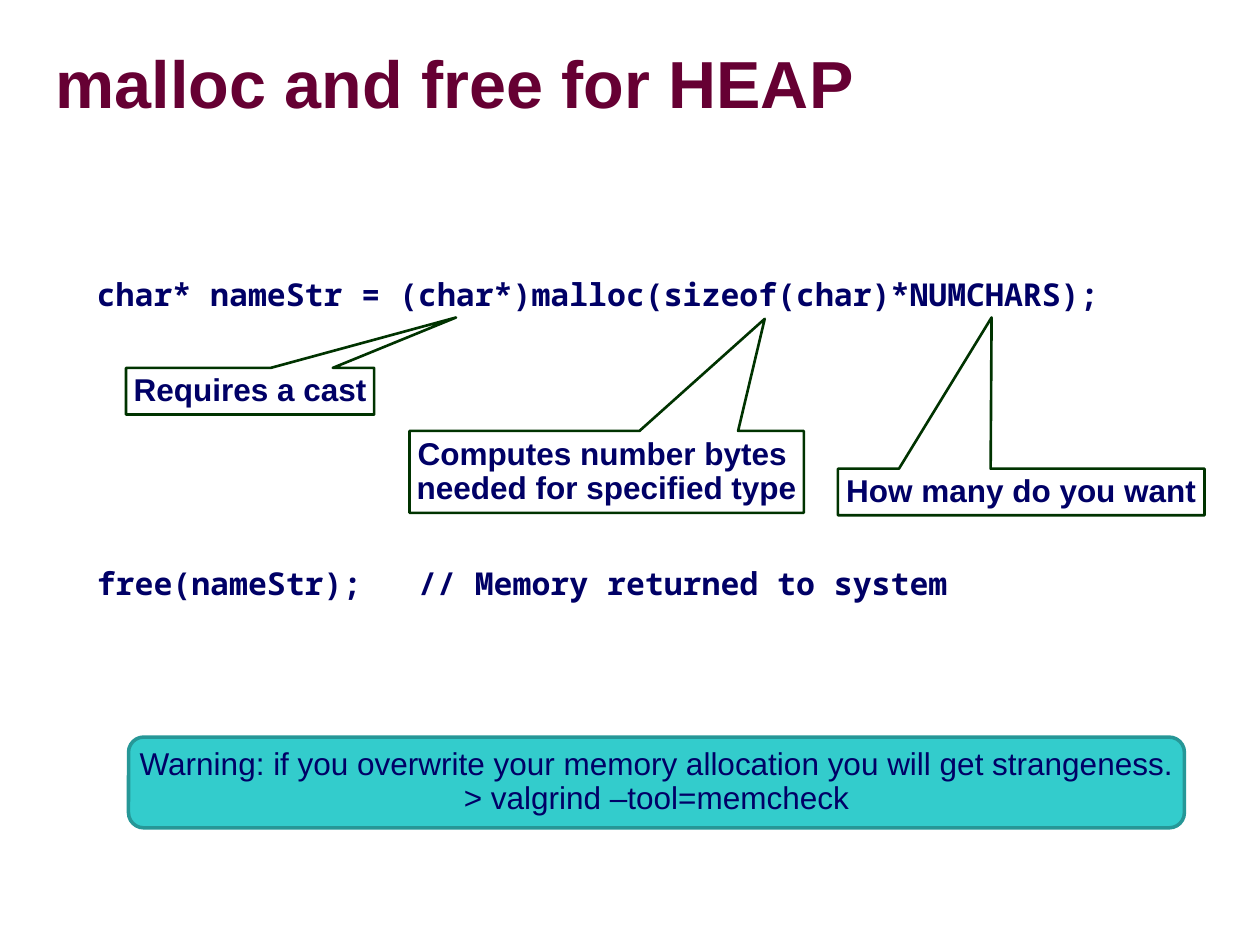
from dataclasses import dataclass

from lxml import etree
from pptx import Presentation
from pptx.dml.color import RGBColor
from pptx.enum.shapes import MSO_SHAPE
from pptx.enum.text import MSO_ANCHOR, MSO_AUTO_SIZE, PP_ALIGN
from pptx.oxml.ns import qn
from pptx.util import Inches, Pt

CALLOUT = MSO_SHAPE.RECTANGULAR_CALLOUT
ROUNDED = MSO_SHAPE.ROUNDED_RECTANGLE
MIDDLE = MSO_ANCHOR.MIDDLE
FIT_SHAPE, NO_FIT = MSO_AUTO_SIZE.SHAPE_TO_FIT_TEXT, MSO_AUTO_SIZE.NONE
LEFT, CENTER = PP_ALIGN.LEFT, PP_ALIGN.CENTER


@dataclass(frozen=True)
class Theme:
    """Colours, fonts and type sizes of the slide."""
    title: str = "660033"
    text: str = "000066"
    callout_line: str = "003300"
    warning_fill: str = "33CCCC"
    warning_line: str = "269797"
    shadow: str = "808080"
    sans: str = "Arial"
    mono: str = "Noto Sans Mono"
    title_size: int = 38
    text_size: int = 18


THEME = Theme()


def rgb(value):
    """Turn a hex string into a colour."""
    return RGBColor.from_string(value)


def set_margins(tf, margin):
    """Give all four sides of a text frame the same margin."""
    tf.margin_left = tf.margin_top = Inches(margin)
    tf.margin_right = tf.margin_bottom = Inches(margin)


def write_lines(tf, lines, font=THEME.sans, size=THEME.text_size,
                color=THEME.text, bold=True, align=LEFT, spacing=0.9):
    """Write one paragraph for each line, all in one style."""
    for i, line in enumerate(lines):
        p = tf.add_paragraph() if i else tf.paragraphs[0]
        p.text = line
        p.alignment, p.line_spacing = align, spacing
        p.font.name, p.font.size, p.font.bold = font, Pt(size), bold
        p.font.color.rgb = rgb(color)


def add_text_shadow(r):
    """Cast a shadow behind the letters of a run."""
    effects = etree.Element(qn("a:effectLst"))
    shadow = etree.SubElement(effects, qn("a:outerShdw"),
                              dist="38100", dir="2700000", algn="tl")
    etree.SubElement(shadow, qn("a:srgbClr"), val=THEME.shadow)
    r.font._element.insert(0, effects)


def add_title(slide, box, text):
    """Fill and place the title placeholder."""
    sp = slide.shapes.title
    sp.left, sp.top, sp.width, sp.height = map(Inches, box)
    tf = sp.text_frame
    tf.auto_size, tf.vertical_anchor = NO_FIT, MIDDLE
    set_margins(tf, 0)
    write_lines(tf, [text], size=THEME.title_size, color=THEME.title,
                spacing=0.87)
    add_text_shadow(tf.paragraphs[0].runs[0])


def add_code(slide, box, code):
    """Add a line of code."""
    tf = slide.shapes.add_textbox(*map(Inches, box)).text_frame
    tf.word_wrap, tf.auto_size = True, FIT_SHAPE
    write_lines(tf, [code], font=THEME.mono)


def add_label(slide, kind, box, lines, line_color, line_width, bold=True):
    """Add an unfilled outlined shape with centred text."""
    sp = slide.shapes.add_shape(kind, *map(Inches, box))
    sp.shadow.inherit = False
    sp.fill.background()
    sp.line.color.rgb, sp.line.width = rgb(line_color), Pt(line_width)
    tf = sp.text_frame
    tf.word_wrap, tf.auto_size, tf.vertical_anchor = False, FIT_SHAPE, MIDDLE
    set_margins(tf, 0.05)
    write_lines(tf, lines, bold=bold, align=CENTER)
    return sp


def add_callout(slide, box, tip, lines):
    """Add a callout whose pointer ends at the tip."""
    sp = add_label(slide, CALLOUT, box, lines, THEME.callout_line, 1.5)
    left, top, width, height = box
    sp.adjustments[0] = (tip[0] - left) / width - 0.5
    sp.adjustments[1] = (tip[1] - top) / height - 0.5


def add_warning(slide, box, lines):
    """Add the filled warning panel."""
    sp = add_label(slide, ROUNDED, box, lines, THEME.warning_line, 2,
                   bold=False)
    sp.fill.solid()
    sp.fill.fore_color.rgb = rgb(THEME.warning_fill)


def main():
    """Build and save the slide."""
    prs = Presentation()
    prs.slide_width, prs.slide_height = Inches(10), Inches(7.5)
    slide = prs.slides.add_slide(prs.slide_layouts.get_by_name("Title Only"))
    add_title(slide, (0.44, 0.27, 9.39, 0.85), "malloc and free for HEAP")
    add_code(slide, (0.67, 2.17, 8.75, 0.37),
             "char* nameStr = (char*)malloc(sizeof(char)*NUMCHARS);")
    callouts = [
        ((1, 2.92, 1.97, 0.37), (3.62, 2.52), ["Requires a cast"]),
        ((3.25, 3.42, 3.13, 0.65), (6.07, 2.53),
         ["Computes number bytes ", "needed for specified type"]),
        ((6.65, 3.72, 2.91, 0.37), (7.87, 2.52), ["How many do you want"]),
    ]
    for box, tip, lines in callouts:
        add_callout(slide, box, tip, lines)
    add_code(slide, (0.67, 4.46, 8.75, 0.37),
             "free(nameStr);   // Memory returned to system")
    add_warning(slide, (1.02, 5.85, 8.38, 0.72), [
        "Warning: if you overwrite your memory allocation "
        "you will get strangeness.",
        "> valgrind –tool=memcheck"])
    prs.save("out.pptx")


if __name__ == "__main__":
    main()
